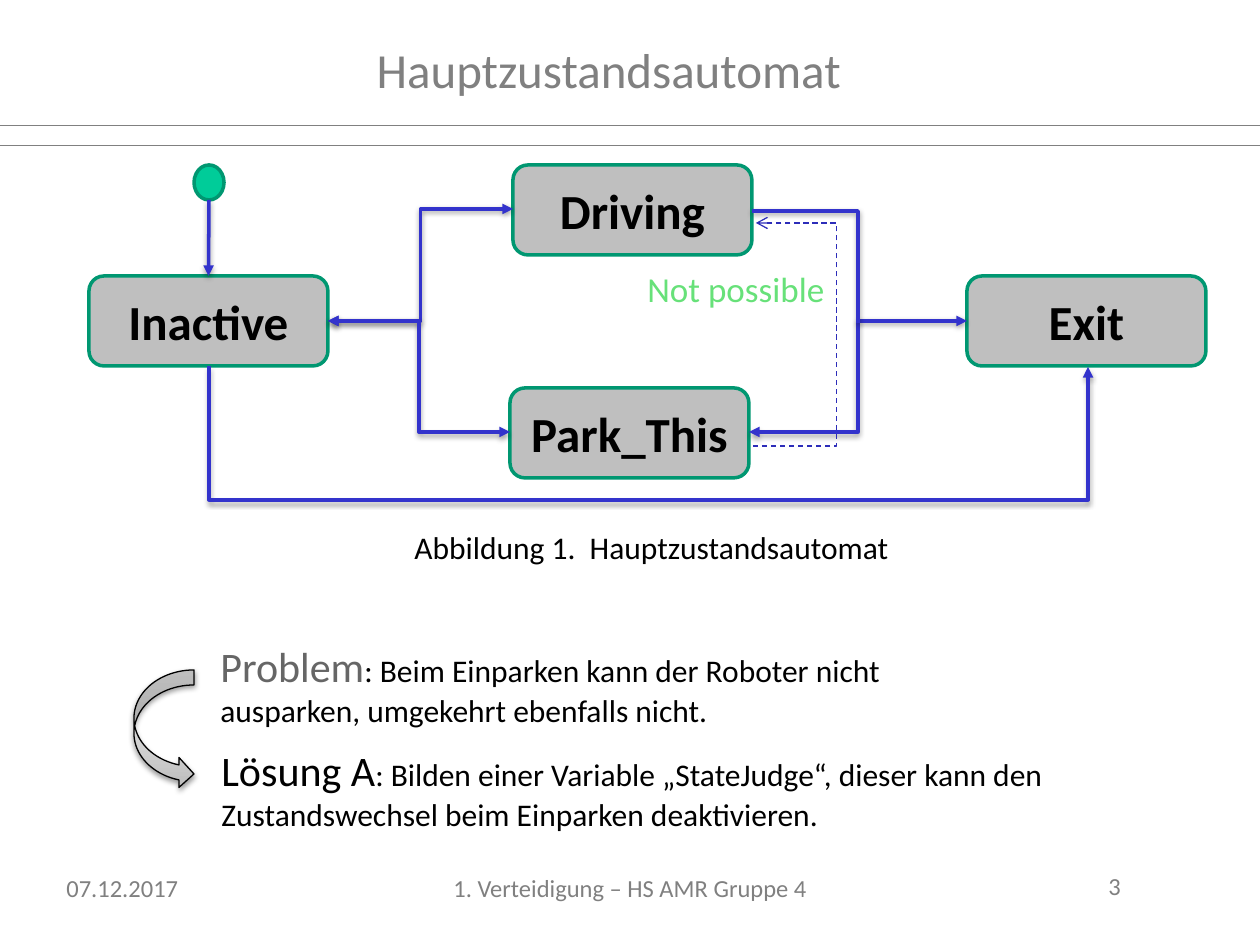
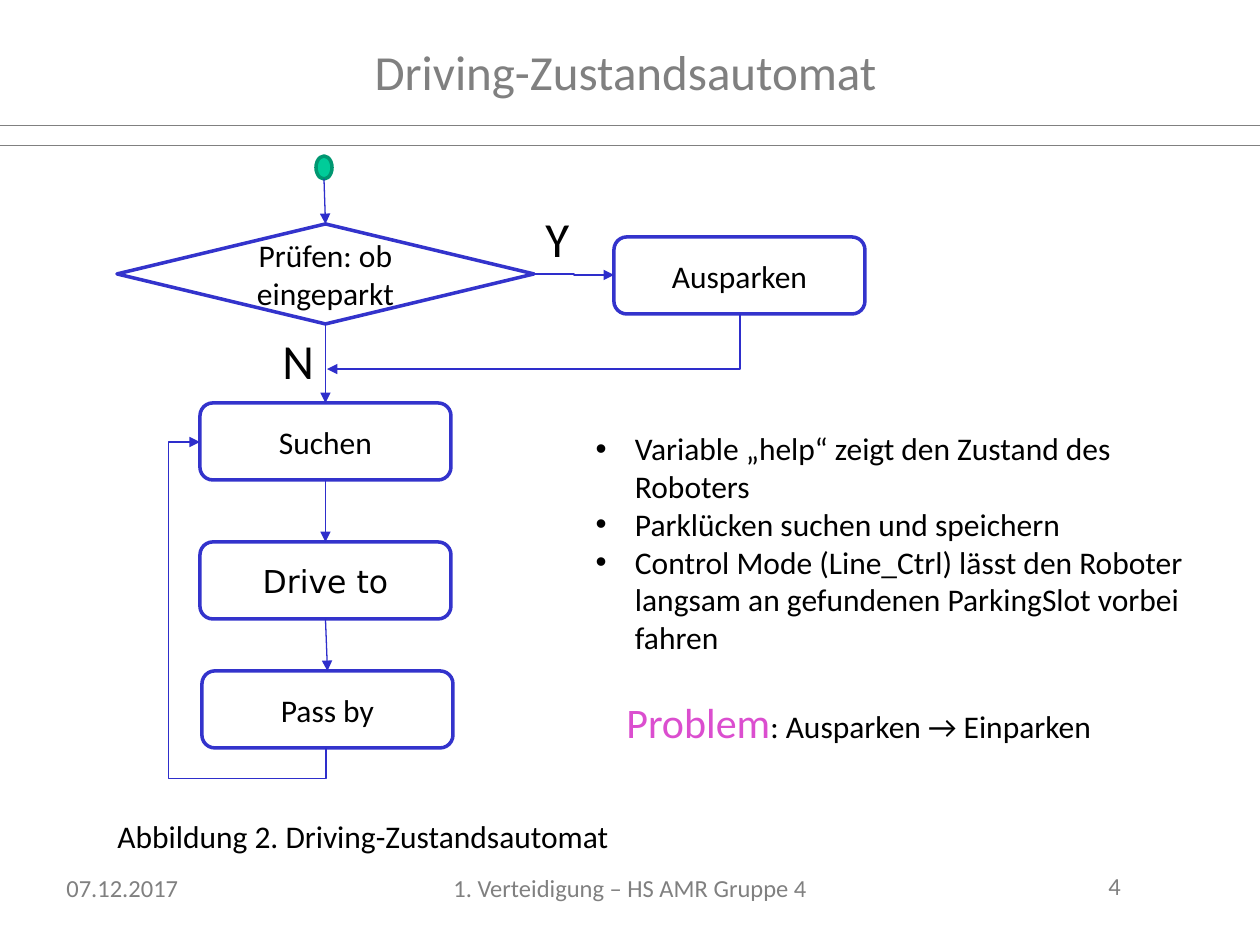
from copy import deepcopy

from lxml import etree
from pptx import Presentation
from pptx import util as u
from pptx.dml.color import RGBColor
from pptx.enum import dml, shapes, text
from pptx.oxml.ns import qn

PX = 914400 // 126
GREY = RGBColor(0x80, 0x80, 0x80)
DARK = RGBColor(0x66, 0x66, 0x66)
BLACK = RGBColor(0, 0, 0)
WHITE = RGBColor(0xFF, 0xFF, 0xFF)
SILVER = RGBColor(0xBF, 0xBF, 0xBF)
TEAL = RGBColor(0, 0x97, 0x71)
MINT = RGBColor(0, 0xCC, 0x99)
LIME = RGBColor(0x67, 0xE1, 0x79)
PINK = RGBColor(0xDB, 0x4E, 0xCF)
BLUE = RGBColor(0x33, 0x33, 0xCC)
NAVY = RGBColor(0x2D, 0x2D, 0xB9)
ROYAL = RGBColor(0x2E, 0x2E, 0xCB)
FADE = [(0, RGBColor(0xBD, 0xBD, 0xBD)), (0.35, RGBColor(0xD1, 0xD1, 0xD1)),
        (1, RGBColor(0xEE, 0xEE, 0xEE))]
SANS = "Calibri"

# Shared frame
RULES = [125, 145]
FOOT = [("07.12.2017", (54, 867, 150, 43)),
        ("1. Verteidigung – HS AMR Gruppe 4", (441, 867, 395, 43))]
PAGE = (1096, 865, 71, 43)

# Line styles
BOLD = dict(color=BLUE, width=2, tail="triangle", shade=True)
BOTH = dict(BOLD, head="triangle")
PLAIN = dict(BOLD, tail=None)
DASH = dict(color=NAVY, width=0.75, tail="arrow", dash=True)
THIN = dict(color=ROYAL, width=0.75, tail="triangle")
RULE = dict(color=GREY, width=0.5)

# Box styles
STATE = dict(fill=SILVER, edge=TEAL, size=28, bold=True)
STEP = dict(fill=WHITE, edge=BLUE, size=18, bold=False)
ROUND = shapes.MSO_SHAPE.ROUNDED_RECTANGLE
RHOMB = shapes.MSO_SHAPE.FLOWCHART_DECISION

# Text: place, then runs of (words, size, colour)
MAIN = dict(
    num=3, title=("Hauptzustandsautomat", (364, 33, 604, 72)), layout=5,
    look=STATE, dot=(194, 165, 30, 35), start="Inactive",
    boxes=[("Inactive", ROUND, (89, 276, 239, 90), SANS),
           ("Driving", ROUND, (513, 165, 239, 90), SANS),
           ("Park_This", ROUND, (510, 388, 239, 90), SANS),
           ("Exit", ROUND, (967, 276, 239, 90), SANS)],
    flow=BOLD, joins=[],
    bends=[((328, 321), (513, 209), 3, [], 0, BOTH),
           ((510, 432), (328, 321), 3, [], 0, BOTH),
           ((749, 432), (967, 321), 3, [], 0, BOTH),
           ((209, 366), (1088, 367), 3, [135], 270, BOLD),
           ((752, 211), (858, 323), 2, [], 0, PLAIN),
           ((753, 446), (756, 223), 3, [28], 0, DASH)],
    notes=[((402, 522, 536, 50),
            [("Abbildung 1.  Hauptzustandsautomat", 18, BLACK)]),
           ((208, 634, 830, 102),
            [("Problem", 24, DARK),
             (": Beim Einparken kann der Roboter nicht ausparken, "
              "umgekehrt ebenfalls nicht.", 18, BLACK)]),
           ((635, 261, 278, 55), [("Not possible", 20, LIME)]),
           ((209, 738, 886, 102),
            [("Lösung A", 24, BLACK),
             (": Bilden einer Variable „StateJudge“, dieser kann den "
              "Zustandswechsel beim Einparken deaktivieren.", 18, BLACK)])],
    curve=(134, 670, 60, 119))

DRIVE = dict(
    num=4, title=("Driving-Zustandsautomat", (362, 35, 596, 72)), layout=1,
    look=STEP, dot=(316, 156, 16, 23), start="Prüfen: ob eingeparkt",
    boxes=[("Prüfen: ob eingeparkt", RHOMB, (117, 224, 417, 100), SANS),
           ("Suchen", ROUND, (200, 403, 251, 77), SANS),
           ("Ausparken", ROUND, (614, 237, 251, 77), SANS),
           ("Drive to", ROUND, (200, 542, 251, 77), "DejaVu Sans"),
           ("Pass by", ROUND, (202, 671, 251, 77), SANS)],
    flow=THIN,
    joins=[("Prüfen: ob eingeparkt", "Suchen"), ("Suchen", "Drive to"),
           ("Drive to", "Pass by")],
    bends=[((326, 748), (200, 442), 4, [-0.1, 1.25], 90, THIN),
           ((740, 314), (327, 369), 2, [], 90, THIN),
           ((534, 274), (614, 275), 3, [], 0, THIN)],
    notes=[((533, 202, 60, 72), [("Y", 28, BLACK)]),
           ((270, 324, 60, 72), [("N", 28, BLACK)]),
           ((105, 811, 556, 50),
            [("Abbildung 2. Driving-Zustandsautomat", 18, BLACK)]),
           ((614, 690, 542, 64),
            [("Problem", 24, PINK), (": Ausparken → Einparken", 18, BLACK)])],
    list=((583, 423, 633, 318),
          ["Variable „help“ zeigt den Zustand des Roboters",
           "Parklücken suchen und speichern",
           "Control Mode (Line_Ctrl) lässt den Roboter langsam an "
           "gefundenen ParkingSlot vorbei fahren"]))


def emu(vals):
    return [round(v * PX) for v in vals]


def place(shape, box):
    for key, val in zip(("left", "top", "width", "height"), emu(box)):
        setattr(shape, key, val)


def write(frame, paras, font=SANS, bold=False, anchor=text.MSO_ANCHOR.TOP,
          align=text.PP_ALIGN.LEFT):
    form = dict(word_wrap=True, auto_size=text.MSO_AUTO_SIZE.NONE,
                vertical_anchor=anchor)
    for key, val in form.items():
        setattr(frame, key, val)
    for i, runs in enumerate(paras):
        para = frame.add_paragraph() if i else frame.paragraphs[0]
        para.alignment, para.space_before = align, u.Pt(0)
        for words, size, color in runs:
            run = para.add_run()
            run.text = words
            for key, val in dict(name=font, size=u.Pt(size), bold=bold).items():
                setattr(run.font, key, val)
            run.font.color.rgb = color


def note(sl, box, runs):
    write(sl.shapes.add_textbox(*emu(box)).text_frame, [runs])


def node(sl, kind, box, fill, edge):
    shape = sl.shapes.add_shape(kind, *emu(box))
    shape.shadow.inherit = False
    shape.fill.solid()
    shape.fill.fore_color.rgb = fill
    shape.line.color.rgb = edge
    shape.line.width = u.Pt(2)
    return shape


def sub(parent, tag, **attrs):
    return etree.SubElement(parent, qn(tag), attrs)


def shade(fx):
    drop = sub(fx, "a:outerShdw", blurRad="40000", dist="20000",
               dir="5400000", rotWithShape="0")
    sub(sub(drop, "a:srgbClr", val="000000"), "a:alpha", val="38000")


def wire(sl, a, b, style, kind=shapes.MSO_CONNECTOR.STRAIGHT):
    line = sl.shapes.add_connector(kind, *emu(a + b))
    line.line.color.rgb = style["color"]
    line.line.width = u.Pt(style["width"])
    if style.get("dash"):
        line.line.dash_style = dml.MSO_LINE.DASH
    ln = line.line._get_or_add_ln()
    for end, tag in (("head", "a:headEnd"), ("tail", "a:tailEnd")):
        if style.get(end):
            sub(ln, tag, type=style[end])
    fx = sub(line.element.spPr, "a:effectLst")
    if style.get("shade"):
        shade(fx)
    return line


def bend(sl, a, b, legs, adjs, turn, style):
    """Elbow from a to b, laid out unturned about its centre and then turned."""
    cx, cy = (a[0] + b[0]) / 2, (a[1] + b[1]) / 2
    sign = {0: 0, 90: 1, 270: -1}[turn]
    if turn:
        a, b = [(cx + sign * (y - cy), cy - sign * (x - cx)) for x, y in (a, b)]
    line = wire(sl, a, b, style, shapes.MSO_CONNECTOR.ELBOW)
    prop = line.element.spPr
    if turn:
        prop.find(qn("a:xfrm")).set("rot", str(turn * 60000))
    geom = prop.find(qn("a:prstGeom"))
    geom.set("prst", f"bentConnector{legs}")
    for old in list(geom):
        geom.remove(old)
    guide = sub(geom, "a:avLst")
    for i, adj in enumerate(adjs, 1):
        name = f"adj{i}"
        sub(guide, "a:gd", name=name, fmla=f"val {round(adj * 100000)}")


def curve(sl, box):
    shape = node(sl, shapes.MSO_SHAPE.CURVED_RIGHT_ARROW, box, SILVER, BLACK)
    shape.line.width = u.Pt(0.75)
    shape.fill.gradient()
    shape.fill.gradient_angle = 90
    stops = shape.element.spPr.find(".//" + qn("a:gsLst"))
    stops.insert(1, deepcopy(stops[0]))
    for stop, (pos, color) in zip(shape.fill.gradient_stops, FADE):
        stop.position = pos
        stop.color.rgb = color
    shade(shape.element.spPr.find(qn("a:effectLst")))


def bullets(sl, box, items):
    body = sl.placeholders[1]
    place(body, box)
    write(body.text_frame, [[(item, 18, BLACK)] for item in items])
    for para in body.text_frame.paragraphs:
        prop = para._p.get_or_add_pPr()
        prop.set("marL", "285750")
        prop.set("indent", "-285750")


def frame(sl, num, title):
    for y in RULES:
        wire(sl, (0, y), (1260, y), RULE)
    for words, box in FOOT + [(str(num), PAGE)]:
        note(sl, box, [(words, 14, GREY)])
    words, box = title
    place(sl.shapes.title, box)
    write(sl.shapes.title.text_frame, [[(words, 28, GREY)]])


def build(deck, data):
    sl = deck.slides.add_slide(deck.slide_layouts[data["layout"]])
    frame(sl, data["num"], data["title"])
    look, nodes = data["look"], {}
    for name, kind, box, font in data["boxes"]:
        nodes[name] = node(sl, kind, box, look["fill"], look["edge"])
        write(nodes[name].text_frame, [[(name, look["size"], BLACK)]], font,
              look["bold"], text.MSO_ANCHOR.MIDDLE, text.PP_ALIGN.CENTER)
    x, y, w, h = data["dot"]
    node(sl, shapes.MSO_SHAPE.FLOWCHART_CONNECTOR, data["dot"], MINT, TEAL)
    foot = (x + w / 2, y + h)
    wire(sl, foot, foot, data["flow"]).end_connect(nodes[data["start"]], 0)
    for top, low in data["joins"]:
        line = wire(sl, (0, 0), (0, 0), data["flow"])
        line.begin_connect(nodes[top], 2)
        line.end_connect(nodes[low], 0)
    for item in data["bends"]:
        bend(sl, *item)
    for box, runs in data["notes"]:
        note(sl, box, runs)
    if "curve" in data:
        curve(sl, data["curve"])
    if "list" in data:
        bullets(sl, *data["list"])


def main():
    deck = Presentation()
    deck.slide_width, deck.slide_height = u.Inches(10), u.Inches(7.5)
    for data in (MAIN, DRIVE):
        build(deck, data)
    deck.save("out.pptx")


if __name__ == "__main__":
    main()
